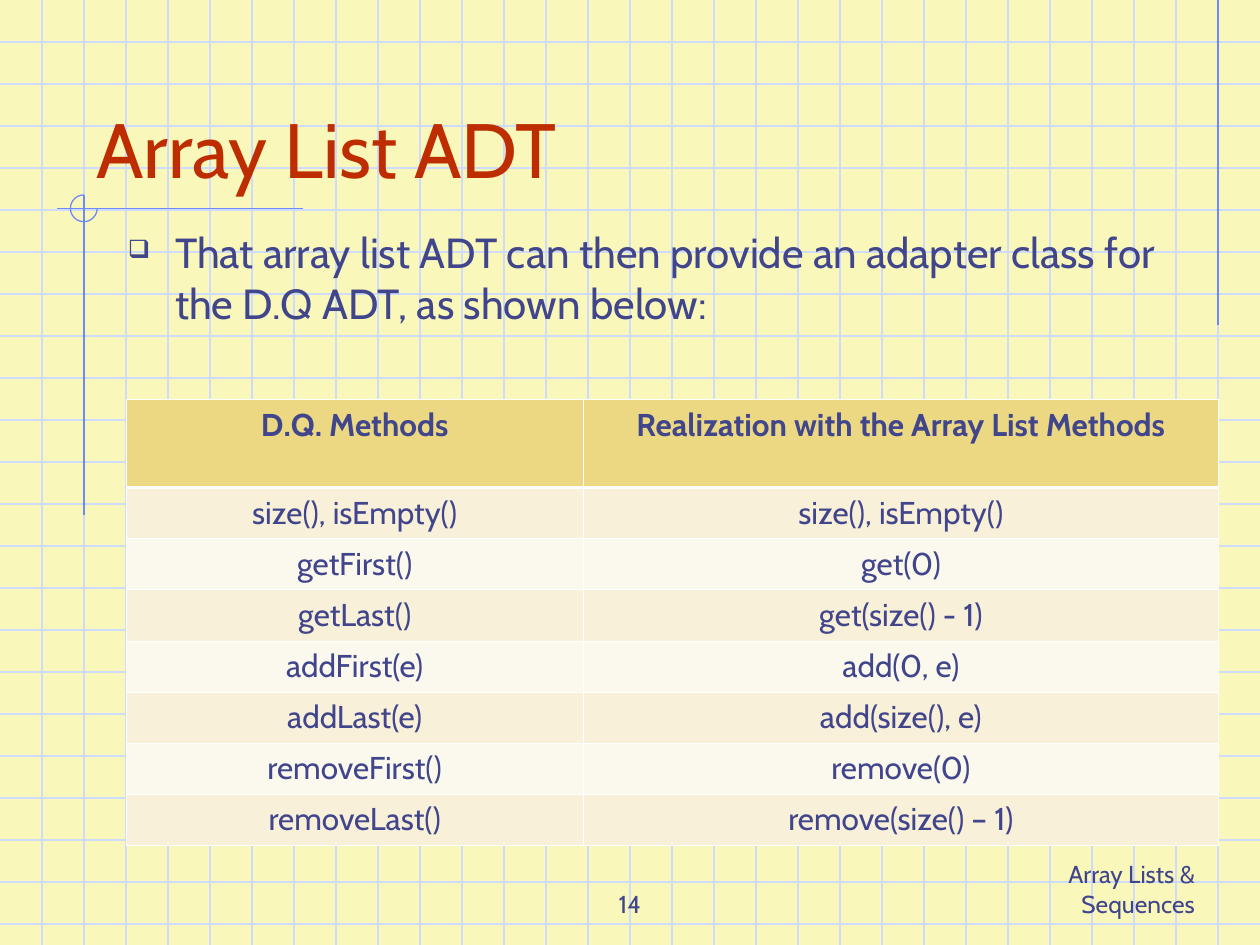
import pptx
import pptx.util
import pptx.dml.color
import pptx.enum.shapes
import pptx.enum.text
import pptx.oxml
import pptx.oxml.ns
from lxml import etree

Cm, Pt = pptx.util.Cm, pptx.util.Pt
ALIGN = pptx.enum.text.PP_ALIGN
ANCHOR = pptx.enum.text.MSO_ANCHOR
qn = pptx.oxml.ns.qn

TITLE = "Array List ADT"
BODY = "That array list ADT can then provide an adapter class for the D.Q ADT, as shown below:"
FOOTER = "Array Lists & Sequences"
NUMBER = "14"
ROWS = [
    ("D.Q. Methods", "Realization with the Array List Methods"),
    ("size(), isEmpty()", "size(), isEmpty()"),
    ("getFirst()", "get(0)"),
    ("getLast()", "get(size() - 1)"),
    ("addFirst(e)", "add(0, e)"),
    ("addLast(e)", "add(size(), e)"),
    ("removeFirst()", "remove(0)"),
    ("removeLast()", "remove(size() – 1)"),
]
COLORS = {
    "paper": "F9F8BA", "grid": "CFDBFD", "rule": "6F89F7", "title": "BE2D00",
    "text": "40458C", "header": "ECD882", "odd": "F8F0D8", "even": "FBF8ED",
    "border": "FFFFFF",
}
FONT = "Cabin"
WIDTH, HEIGHT = 25.4, 19.05
STEP = WIDTH / 30
RULES = [
    (29 * STEP, 0, 29 * STEP, 6.55),
    (6.1, 4.21, 1.14, 4.21),
    (2 * STEP, 3.93, 2 * STEP, 10.39),
]
COL_WIDTHS = (9.22, 12.8)
HEADER_HEIGHT, ROW_HEIGHT = 1.78, 1.02


def rgb(name):
    return pptx.dml.color.RGBColor.from_string(COLORS[name])


def write(tf, text, size=18, color="text", bold=False, align=ALIGN.LEFT,
          anchor=ANCHOR.TOP, bullet=None):
    tf.word_wrap = True
    tf.auto_size = pptx.enum.text.MSO_AUTO_SIZE.NONE
    tf.vertical_anchor = anchor
    fill_paragraph(tf.paragraphs[0], text, size, color, bold, align, bullet)


def fill_paragraph(p, text, size, color, bold, align, bullet=None):
    p.alignment = align
    if bullet:
        pPr = p._p.get_or_add_pPr()
        pPr.set("marL", str(Cm(0.95)))
        pPr.set("indent", str(-Cm(0.95)))
        clr = etree.SubElement(pPr, qn("a:buClr"))
        etree.SubElement(clr, qn("a:srgbClr"), val=COLORS[color])
        etree.SubElement(pPr, qn("a:buSzPct"), val="60000")
        etree.SubElement(pPr, qn("a:buChar"), char=bullet)
    r = p.add_run()
    r.text = text
    r.font.name, r.font.size, r.font.bold = FONT, Pt(size), bold
    r.font.color.rgb = rgb(color)


def add_text(s, box, text, **fmt):
    sp = s.shapes.add_textbox(*map(Cm, box))
    write(sp.text_frame, text, **fmt)


def add_line(s, ends, color):
    sp = s.shapes.add_connector(pptx.enum.shapes.MSO_CONNECTOR.STRAIGHT, *map(Cm, ends))
    sp.line.color.rgb = rgb(color)
    sp.line.width = Pt(0.75)
    etree.SubElement(sp._element.spPr, qn("a:effectLst"))


def add_backdrop(s):
    s.background.fill.solid()
    s.background.fill.fore_color.rgb = rgb("paper")
    for i in range(1, 23):
        add_line(s, (0, i * STEP, WIDTH, i * STEP), "grid")
    for i in range(1, 30):
        add_line(s, (i * STEP, 0, i * STEP, HEIGHT), "grid")
    for ends in RULES:
        add_line(s, ends, "rule")
    arc = s.shapes.add_shape(pptx.enum.shapes.MSO_SHAPE.ARC, Cm(1.42), Cm(3.93), Cm(0.54), Cm(0.54))
    arc.adjustments[0] = 0
    arc.adjustments[1] = 162
    arc.shadow.inherit = False
    arc.fill.background()
    arc.line.color.rgb = rgb("rule")
    arc.line.width = Pt(0.75)


def set_borders(cell, **widths):
    tcPr = cell._tc.get_or_add_tcPr()
    for i, side in enumerate(("lnL", "lnR", "lnT", "lnB")):
        ln = etree.Element(qn("a:" + side), w=str(Pt(widths.get(side, 0.45))))
        fill = etree.SubElement(ln, qn("a:solidFill"))
        etree.SubElement(fill, qn("a:srgbClr"), val=COLORS["border"])
        tcPr.insert(i, ln)


def add_methods_table(s):
    heights = [HEADER_HEIGHT] + [ROW_HEIGHT] * (len(ROWS) - 1)
    table = s.shapes.add_table(len(ROWS), len(COL_WIDTHS), Cm(2.54), Cm(8.05),
                               Cm(sum(COL_WIDTHS)), Cm(sum(heights))).table
    for column, width in zip(table.columns, COL_WIDTHS):
        column.width = Cm(width)
    for i, values in enumerate(ROWS):
        table.rows[i].height = Cm(heights[i])
        fill = "header" if i == 0 else ("even", "odd")[i % 2]
        edges = {0: {"lnB": 1.5}, 1: {"lnT": 1.5}}.get(i, {})
        for j, text in enumerate(values):
            cell = table.cell(i, j)
            fill_paragraph(cell.text_frame.paragraphs[0], text, 18, "text", i == 0, ALIGN.CENTER)
            cell.fill.solid()
            cell.fill.fore_color.rgb = rgb(fill)
            set_borders(cell, **edges)


def main():
    """Build the Array List ADT slide."""
    prs = pptx.Presentation()
    prs.slide_width, prs.slide_height = Cm(WIDTH), Cm(HEIGHT)
    s = prs.slides.add_slide(prs.slide_layouts[5])
    add_backdrop(s)
    title = s.shapes.title
    title.left, title.top, title.width, title.height = map(Cm, (1.69, 0.85, 21.59, 3.18))
    write(title.text_frame, TITLE, size=44, color="title", anchor=ANCHOR.BOTTOM)
    title.element.getparent().append(title.element)
    add_text(s, (2.33, 4.45, 21.59, 13.34), BODY, size=24, bullet="❑")
    add_text(s, (19.05, 17.36, 5.29, 1.27), FOOTER, size=14, align=ALIGN.RIGHT, anchor=ANCHOR.BOTTOM)
    add_text(s, (8.68, 17.36, 8.04, 1.27), NUMBER, size=14, align=ALIGN.CENTER, anchor=ANCHOR.BOTTOM)
    add_methods_table(s)
    prs.save("out.pptx")


if __name__ == "__main__":
    main()
